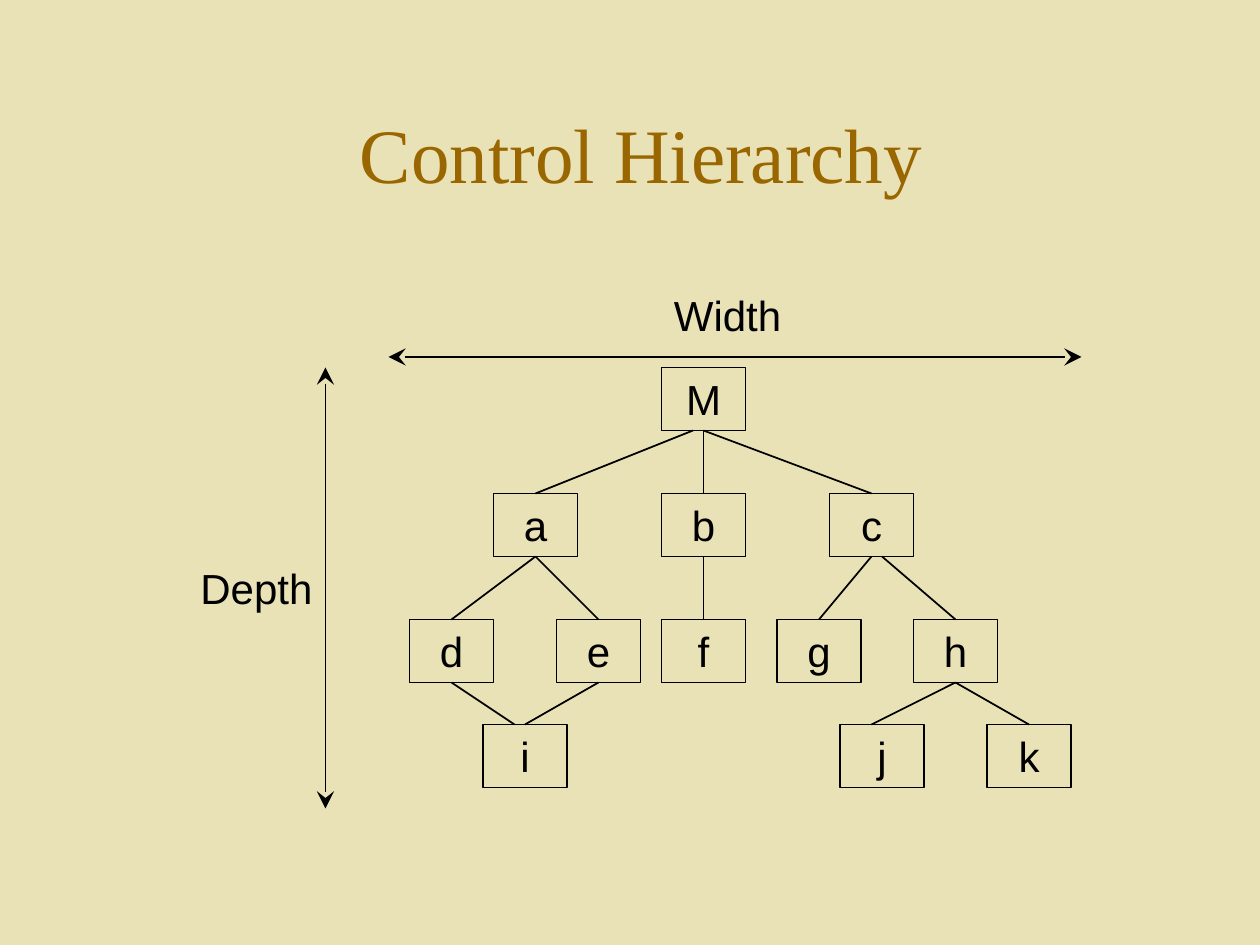
from lxml import etree
from pptx import Presentation, util as u
from pptx.dml.color import RGBColor
from pptx.enum import shapes, text
from pptx.oxml.ns import qn

CELL = u.Inches(1) // 12  # grid of 120 columns by 90 rows
BOX_W, BOX_H = 8, 6

# name: (column, row) of the top left corner
NODES = {
    "M": (63, 35),
    "a": (47, 47), "b": (63, 47), "c": (79, 47),
    "d": (39, 59), "e": (53, 59), "g": (74, 59), "h": (87, 59), "f": (63, 59),
    "i": (46, 69), "j": (80, 69), "k": (94, 69),
}

# parent, child, column shift at the parent, column shift at the child
LINKS = [
    ("M", "b", 0, 0), ("M", "a", -1, 0), ("M", "c", 0, 0),
    ("b", "f", 0, 0), ("a", "d", 0, 0), ("a", "e", 0, 0),
    ("c", "g", 0, 0), ("c", "h", 1, 0),
    ("d", "i", 0, -1), ("e", "i", 0, 0),
    ("h", "j", 0, -1), ("h", "k", 0, 0),
]


def tint(code):
    return RGBColor.from_string(code)


def grid(*cells):
    """Turn grid counts into lengths."""
    return [u.Emu(round(n * CELL)) for n in cells]


class Deck:
    ink, gold, sand = "000000", "996600", "E9E2B6"
    sans, serif = "Arial", "Times New Roman"

    def __init__(self):
        self.file = Presentation()
        self.file.slide_width, self.file.slide_height = grid(120, 90)
        self.page = self.file.slides.add_slide(self.file.slide_layouts[6])
        fill = self.page.background.fill
        fill.solid()
        fill.fore_color.rgb = tint(self.sand)

    def letter(self, shape, words, size=24, face=sans, color=ink,
               align=text.PP_ALIGN.CENTER, anchor=text.MSO_ANCHOR.MIDDLE,
               wrap=False):
        """Put one styled run of text into a shape."""
        frame = shape.text_frame
        frame.word_wrap = wrap
        frame.vertical_anchor = anchor
        para = frame.paragraphs[0]
        para.alignment = align
        run = para.add_run()
        run.text = words
        run.font.size = u.Pt(size)
        run.font.name = face
        run.font.color.rgb = tint(color)

    def title(self, words, *place):
        box = self.page.shapes.add_textbox(*grid(*place))
        self.letter(box, words, 44, self.serif, self.gold, wrap=True)

    def label(self, words, *place):
        box = self.page.shapes.add_textbox(*grid(*place))
        self.letter(box, words, align=text.PP_ALIGN.LEFT,
                    anchor=text.MSO_ANCHOR.TOP)

    def node(self, name, col, row):
        box = self.page.shapes.add_shape(
            shapes.MSO_SHAPE.RECTANGLE, *grid(col, row, BOX_W, BOX_H))
        box.shadow.inherit = False
        box.fill.background()
        box.line.color.rgb = tint(self.ink)
        box.line.width = u.Pt(1)
        self.letter(box, name)

    def line(self, *ends, arrows=False):
        link = self.page.shapes.add_connector(
            shapes.MSO_CONNECTOR.STRAIGHT, *grid(*ends))
        link.line.color.rgb = tint(self.ink)
        link.line.width = u.Pt(1)
        props = link._element.spPr
        if arrows:
            for tip in ("a:headEnd", "a:tailEnd"):
                etree.SubElement(props.find(qn("a:ln")), qn(tip),
                                 type="stealth", w="lg", len="lg")
        etree.SubElement(props, qn("a:effectLst"))

    def link(self, top, low, shift, bend):
        """Join the bottom of one node to the top of another."""
        (col, row), (end, base) = NODES[top], NODES[low]
        mid = BOX_W / 2
        self.line(col + mid + shift, row + BOX_H, end + mid + bend, base)


def main():
    deck = Deck()
    # The trailing space is part of the centred title.
    deck.title("Control Hierarchy ", 7, 7, 110, 15)
    for name, spot in NODES.items():
        deck.node(name, *spot)
    for pair in LINKS:
        deck.link(*pair)
    deck.line(31, 35, 31, 77, arrows=True)
    deck.line(37, 34, 103, 34, arrows=True)
    deck.label("Width", 63, 27, 12.6, 6)
    deck.label("Depth", 17.9, 53, 13.1, 6)
    deck.file.save("out.pptx")


if __name__ == "__main__":
    main()
